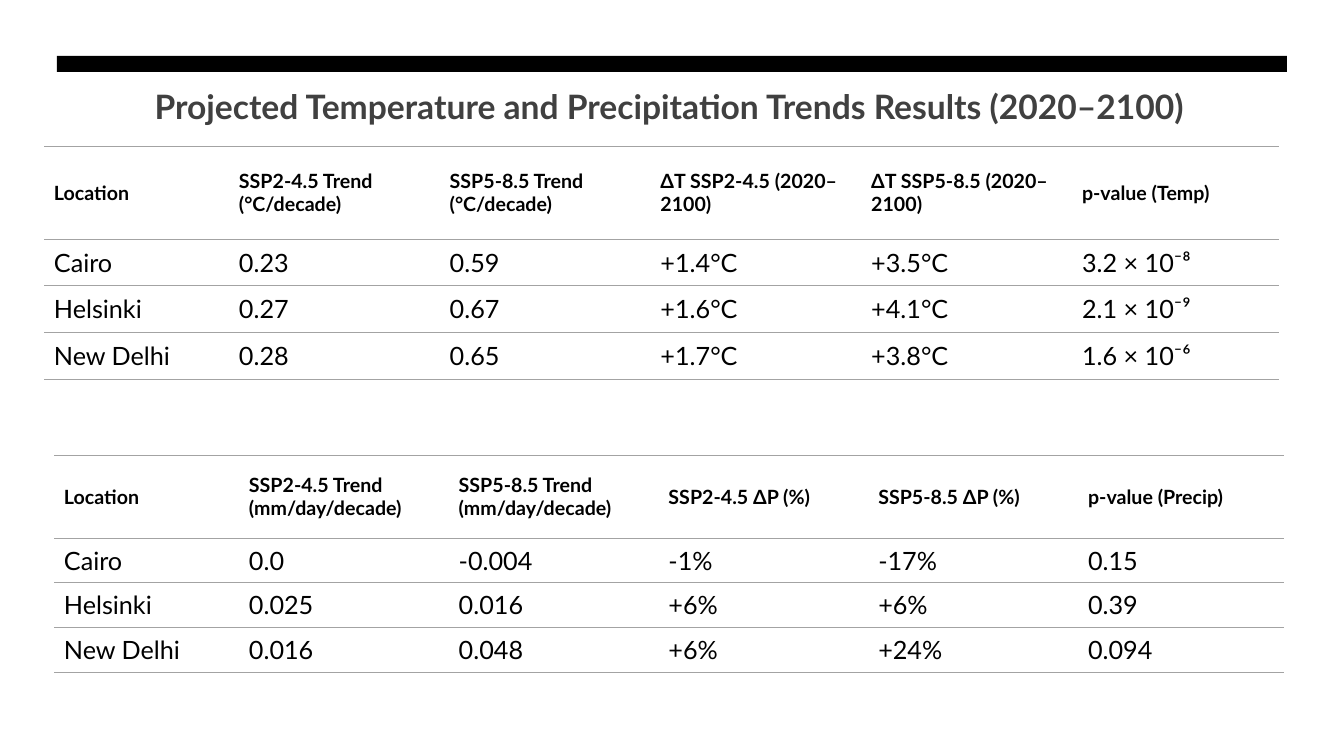
from lxml.etree import SubElement
from pptx import Presentation
from pptx.dml.color import RGBColor
from pptx.enum.shapes import MSO_SHAPE
from pptx.enum.text import MSO_ANCHOR, PP_ALIGN
from pptx.oxml import parse_xml
from pptx.oxml.ns import nsdecls, qn
from pptx.util import Pt

EMU_PER_PX = 914400 / 100.8
FONT = "Lato"
BLACK = "000000"
TITLE_GREY = "404040"
RULE_GREY = "A3A3A3"

TITLE = "Projected Temperature and Precipitation Trends Results (2020–2100)"
TEMPERATURE = [
    ["Location", "SSP2-4.5 Trend (°C/decade)", "SSP5-8.5 Trend (°C/decade)",
     "ΔT SSP2-4.5 (2020–2100)", "ΔT SSP5-8.5 (2020–2100)", "p-value (Temp)"],
    ["Cairo", "0.23", "0.59", "+1.4°C", "+3.5°C", "3.2 × 10⁻⁸"],
    ["Helsinki", "0.27", "0.67", "+1.6°C", "+4.1°C", "2.1 × 10⁻⁹"],
    ["New Delhi", "0.28", "0.65", "+1.7°C", "+3.8°C", "1.6 × 10⁻⁶"],
]
PRECIPITATION = [
    ["Location", "SSP2-4.5 Trend (mm/day/decade)", "SSP5-8.5 Trend (mm/day/decade)",
     "SSP2-4.5 ΔP (%)", "SSP5-8.5 ΔP (%)", "p-value (Precip)"],
    ["Cairo", "0.0", "-0.004", "-1%", "-17%", "0.15"],
    ["Helsinki", "0.025", "0.016", "+6%", "+6%", "0.39"],
    ["New Delhi", "0.016", "0.048", "+6%", "+24%", "0.094"],
]


def px(length):
    return round(length * EMU_PER_PX)


def color(hex_code):
    return RGBColor.from_string(hex_code)


def format_text(text_frame, size, hex_code, bold):
    for paragraph in text_frame.paragraphs:
        for run in paragraph.runs:
            run.font.name = FONT
            run.font.size = Pt(size)
            run.font.bold = bold
            run.font.color.rgb = color(hex_code)


def add_top_bar(slide, left, top, width, height):
    bar = slide.shapes.add_shape(
        MSO_SHAPE.RECTANGLE, px(left), px(top), px(width), px(height))
    bar.shadow.inherit = False
    bar.fill.solid()
    bar.fill.fore_color.rgb = color(BLACK)
    bar.line.fill.background()


def add_title(slide, left, top, width, height):
    title = slide.shapes.add_textbox(px(left), px(top), px(width), px(height))
    frame = title.text_frame
    frame.word_wrap = True
    frame.vertical_anchor = MSO_ANCHOR.TOP
    frame.text = TITLE
    frame.paragraphs[0].alignment = PP_ALIGN.CENTER
    format_text(frame, 24, TITLE_GREY, True)


def set_borders(cell):
    properties = cell._tc.get_or_add_tcPr()
    for position, side in enumerate(("lnL", "lnR", "lnT", "lnB")):
        border = parse_xml(f'<a:{side} {nsdecls("a")} w="{Pt(0.5)}"/>')
        if side in ("lnT", "lnB"):
            rule = SubElement(border, qn("a:solidFill"))
            SubElement(rule, qn("a:srgbClr"), val=RULE_GREY)
        else:
            SubElement(border, qn("a:noFill"))
        properties.insert(position, border)


def add_trend_table(slide, left, top, width, height, header_height, trends):
    location_width = 181
    row_count, column_count = len(trends), len(trends[0])
    value_width = (width - location_width) / (column_count - 1)
    row_height = (height - header_height) / (row_count - 1)
    table = slide.shapes.add_table(
        row_count, column_count, px(left), px(top), px(width), px(height)).table
    table.horz_banding = False
    for index, column in enumerate(table.columns):
        column.width = px(value_width if index else location_width)
    for index, row in enumerate(table.rows):
        row.height = px(row_height if index else header_height)
        for column_index, value in enumerate(trends[index]):
            cell = row.cells[column_index]
            cell.text_frame.text = value
            format_text(cell.text_frame, 18 if index else 14, BLACK, index == 0)
            cell.vertical_anchor = MSO_ANCHOR.MIDDLE
            cell.margin_left = px(14 if column_index else 10)
            cell.margin_right = px(14)
            cell.margin_top = cell.margin_bottom = px(7)
            cell.fill.background()
            set_borders(cell)


def main():
    presentation = Presentation()
    presentation.slide_width = px(1344)
    presentation.slide_height = px(756)
    slide = presentation.slides.add_slide(presentation.slide_layouts[6])
    add_top_bar(slide, 57, 56, 1230, 16)
    add_title(slide, 54, 81, 1230, 74)
    add_trend_table(slide, 44, 146, 1235, 233, 93, TEMPERATURE)
    add_trend_table(slide, 54, 455, 1230, 217, 83, PRECIPITATION)
    presentation.save("out.pptx")


if __name__ == "__main__":
    main()
